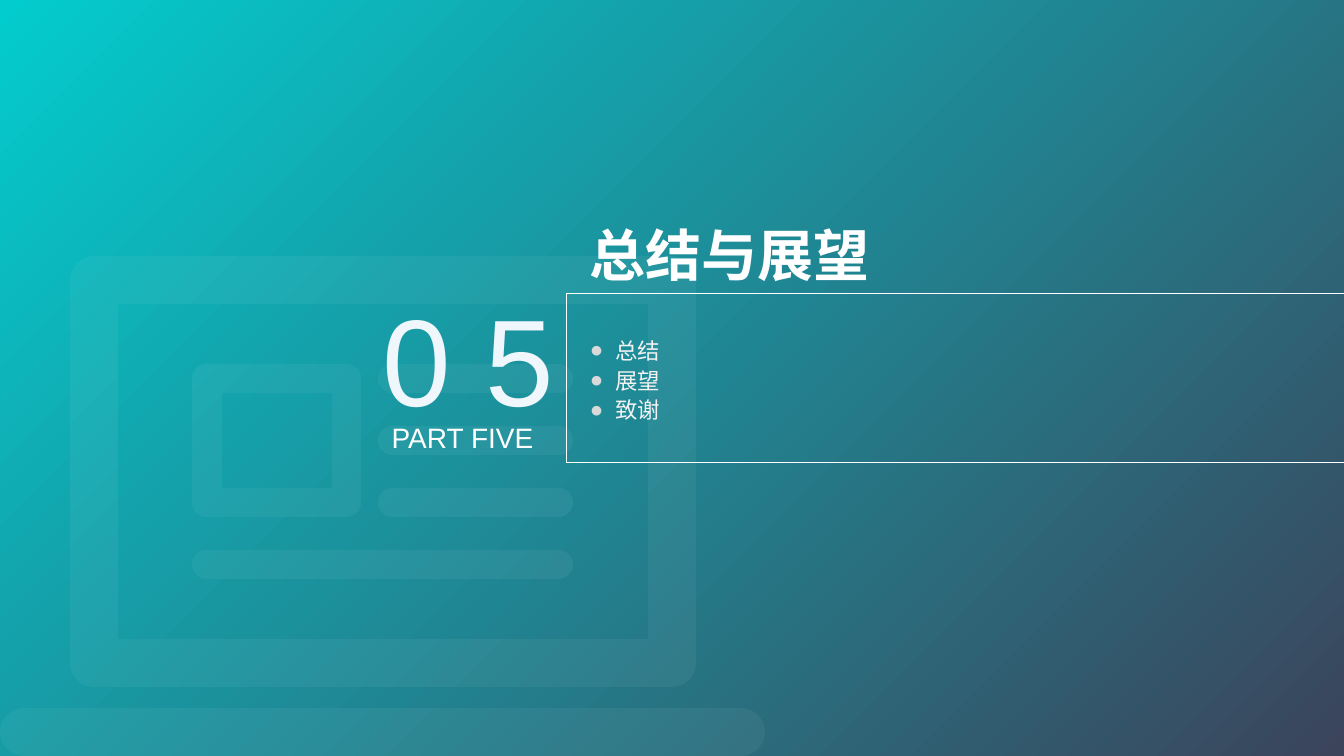
from lxml import etree
from pptx import Presentation, util as u
from pptx.dml.color import RGBColor
from pptx.enum import shapes, text
from pptx.oxml.ns import qn

PX = 12192000 / 1344  # EMU in one px
WIDE, HIGH = 1344, 756

TEAL = RGBColor(0x03, 0xCC, 0xCE)
NAVY = RGBColor(0x3B, 0x44, 0x5B)
WHITE = RGBColor(0xFF, 0xFF, 0xFF)
ICE = RGBColor(0xEF, 0xF6, 0xFC)
PALE = RGBColor(0xF2, 0xF2, 0xF2)
GREY = RGBColor(0xD9, 0xD9, 0xD9)


def px(*vals):
    return [u.Emu(round(v * PX)) for v in vals]


def paint(slide):
    """Diagonal background blend."""
    fill = slide.background.fill
    fill.gradient()
    fill.gradient_angle = 315
    for stop, color, pos in zip(fill.gradient_stops, (TEAL, NAVY), (0, 1)):
        stop.color.rgb = color
        stop.position = pos


def ring(x, y, w, h, r=0):
    """Points of a rectangle, clockwise, with corners cut by r."""
    x2, y2 = x + w, y + h
    if not r:
        return [px(x, y), px(x2, y), px(x2, y2), px(x, y2)]
    return [px(x, y + r), px(x + r, y), px(x2 - r, y), px(x2, y + r),
            px(x2, y2 - r), px(x2 - r, y2), px(x + r, y2), px(x, y2 - r)]


def bend(icon):
    """Turn each slanted line into a round corner."""
    for line in list(icon._element.iter(qn("a:lnTo"))):
        x1, y1 = (int(line.getprevious()[-1].get(k)) for k in "xy")
        x2, y2 = (int(line[0].get(k)) for k in "xy")
        if x1 == x2 or y1 == y2:
            continue
        # A corner leaves upright when both steps differ in sign
        tip = (x1, y2) if (x2 > x1) != (y2 > y1) else (x2, y1)
        curve = etree.Element(qn("a:cubicBezTo"))
        for x, y in ((x1, y1), (x2, y2)):
            etree.SubElement(curve, qn("a:pt"),
                             x=str(round(x + (tip[0] - x) * 0.55)),
                             y=str(round(y + (tip[1] - y) * 0.55)))
        curve.append(line[0])
        line.getparent().replace(line, curve)


def laptop(slide):
    """Faint laptop: nested outlines cut holes."""
    rings = [
        ring(0, 708, 765, 48, 24),     # base
        ring(70, 256, 626, 431, 24),   # lid
        ring(118, 304, 530, 335),      # screen
        ring(192, 364, 169, 153, 14),  # frame
        ring(222, 393, 110, 95),       # frame hole
        ring(192, 550, 381, 29, 14),   # long bar
    ]
    rings += [ring(378, 364 + 62 * n, 195, 29, 14) for n in range(3)]
    pen = slide.shapes.build_freeform(*rings[0][0], scale=1.0)
    for n, pts in enumerate(rings):
        if n:
            pen.move_to(*pts[0])
        pen.add_line_segments(pts[1:], close=True)
    icon = pen.convert_to_shape()
    bend(icon)
    icon.shadow.inherit = False
    icon.line.fill.background()
    icon.fill.solid()
    icon.fill.fore_color.rgb = WHITE
    tint = icon.fill._xPr.find(".//" + qn("a:srgbClr"))
    etree.SubElement(tint, qn("a:alpha"), val="5000")


def panel(slide, kind, box, line=None):
    shape = slide.shapes.add_shape(kind, *px(*box))
    shape.shadow.inherit = False
    shape.fill.background()
    if line is None:
        shape.line.fill.background()
    else:
        shape.line.color.rgb = line
        shape.line.width = u.Pt(0.5)
    return shape


def dot(para):
    """Hanging round bullet."""
    props = para._p.get_or_add_pPr()
    gap = u.Inches(0.25)
    props.set("marL", str(gap))
    props.set("indent", str(-gap))
    tint = etree.SubElement(props, qn("a:buClr"))
    etree.SubElement(tint, qn("a:srgbClr"), val=str(GREY))
    etree.SubElement(props, qn("a:buFont"), typeface="Arial")
    etree.SubElement(props, qn("a:buChar"), char="●")


def write(shape, words, size, color=WHITE, bold=False, wrap=True, lead=None,
          align=text.PP_ALIGN.LEFT, anchor=text.MSO_ANCHOR.TOP, bullet=False):
    frame = shape.text_frame
    frame.word_wrap = wrap
    frame.vertical_anchor = anchor
    frame.margin_left = frame.margin_right = px(13)[0]
    frame.margin_top = frame.margin_bottom = px(7)[0]
    frame.text = words
    for para in frame.paragraphs:
        para.alignment = align
        if lead:
            para.line_spacing = u.Pt(lead)
        if bullet:
            dot(para)
        font = para.runs[0].font
        font.name = "Arial"
        font.size = u.Pt(size)
        font.bold = bold
        font.color.rgb = color


def label(slide, box, words, size, **form):
    write(slide.shapes.add_textbox(*px(*box)), words, size, **form)


def main():
    deck = Presentation()
    deck.slide_width, deck.slide_height = px(WIDE, HIGH)
    slide = deck.slides.add_slide(deck.slide_layouts[6])
    mid = text.PP_ALIGN.CENTER
    kinds = shapes.MSO_SHAPE

    # Backdrop
    paint(slide)
    laptop(slide)

    # Frame and title
    panel(slide, kinds.RECTANGLE, (566, 293, 778, 169), line=WHITE)
    title = panel(slide, kinds.ROUNDED_RECTANGLE, (577, 219, 539, 70))
    title.adjustments[0] = 0
    write(title, "总结与展望", 40, bold=True, anchor=text.MSO_ANCHOR.MIDDLE)

    # Part number, topics and part name
    label(slide, (368, 276, 201, 163), "0 5", 88, color=ICE, wrap=False,
          align=mid)
    label(slide, (577, 327, 98, 103), "总结\n展望\n致谢", 16, color=PALE,
          wrap=False, lead=21.3, bullet=True)
    label(slide, (378, 414, 169, 47), "PART FIVE", 20, align=mid)

    deck.save("out.pptx")


if __name__ == "__main__":
    main()
